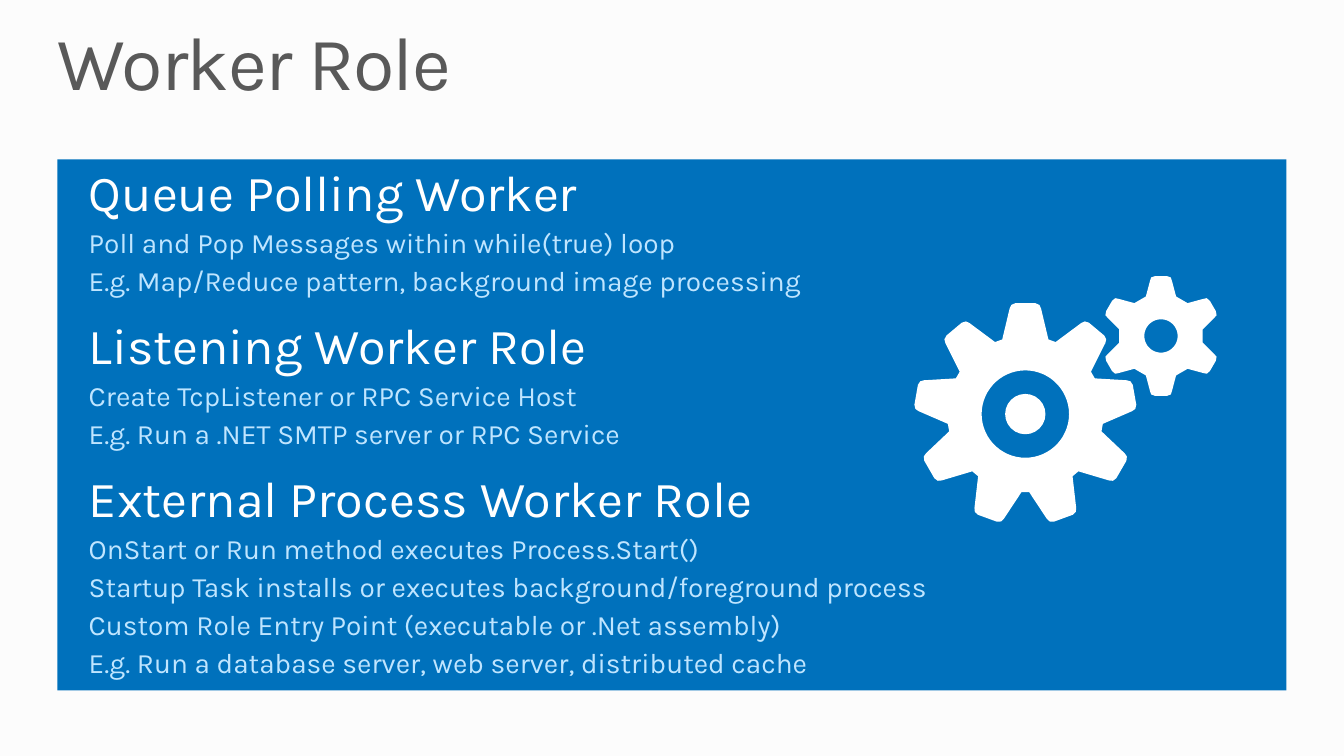
from math import cos, pi, sin

from pptx import Presentation
from pptx.dml.color import RGBColor
from pptx.enum import shapes, text
from pptx.util import Pt


def rgb(value):
    return RGBColor.from_string(value)


class Deck:
    """Holds the style and current slide, and draws each kind of element."""

    font, paper, panel = "Karla", "FCFCFC", "0071BC"
    grey, white, pale = "595959", "FFFFFF", "BFE5FF"

    def __init__(self):
        self.prs = Presentation()
        self.prs.slide_width, self.prs.slide_height = Pt(960), Pt(540)
        self.s = self.prs.slides.add_slide(self.prs.slide_layouts[6])
        self.s.background.fill.solid()
        self.s.background.fill.fore_color.rgb = rgb(self.paper)

    def paint(self, sp, color):
        sp.shadow.inherit = False
        sp.fill.solid()
        sp.fill.fore_color.rgb = rgb(color)
        sp.line.fill.background()

    def shape(self, parent, kind, x, y, w, h, color):
        sp = parent.shapes.add_shape(kind, Pt(x), Pt(y), Pt(w), Pt(h))
        self.paint(sp, color)

    def text(self, x, y, w, h, lines):
        tf = self.s.shapes.add_textbox(Pt(x), Pt(y), Pt(w), Pt(h)).text_frame
        tf.word_wrap = True
        tf.vertical_anchor = text.MSO_ANCHOR.TOP
        tf.margin_left = tf.margin_right = tf.margin_top = tf.margin_bottom = 0
        tf.text = "\n".join(line for line, *_ in lines)
        for p, (_, size, color, before) in zip(tf.paragraphs, lines):
            p.space_before = Pt(before)
            f = p.runs[0].font
            f.name, f.size, f.color.rgb = self.font, Pt(size), rgb(color)
        return tf

    def gear(self, parent, cx, cy, teeth, half_tooth, hole):
        tooth = [(-x, y) for x, y in half_tooth] + half_tooth[::-1]
        outline = []
        for i in range(teeth):
            a = 2 * pi * i / teeth
            outline += [(Pt(cx + x * cos(a) + y * sin(a)),
                         Pt(cy + x * sin(a) - y * cos(a))) for x, y in tooth]
        steps = 60
        rim = [(Pt(cx + hole * cos(2 * pi * i / steps)),
                Pt(cy - hole * sin(2 * pi * i / steps))) for i in range(steps)]
        fb = parent.shapes.build_freeform(*outline[0])
        fb.add_line_segments(outline[1:])
        fb.move_to(*rim[0])
        fb.add_line_segments(rim[1:])
        self.paint(fb.convert_to_shape(), self.white)


def main():
    d = Deck()
    kinds = shapes.MSO_SHAPE
    d.shape(d.s, kinds.RECTANGLE, 41, 113.8, 878, 379.4, d.panel)

    tf = d.text(41, 18, 878, 59, [("Worker Role", 54, d.grey, 0)])
    p = tf.paragraphs[0]
    p.line_spacing = 0.9
    p.runs[0].font._element.set("spc", "-100")

    sections = {
        "Queue Polling Worker": [
            "Poll and Pop Messages within while(true) loop",
            "E.g. Map/Reduce pattern, background image processing"],
        "Listening Worker Role": [
            "Create TcpListener or RPC Service Host",
            "E.g. Run a .NET SMTP server or RPC Service"],
        "External Process Worker Role": [
            "OnStart or Run method executes Process.Start()",
            "Startup Task installs or executes background/foreground process",
            "Custom Role Entry Point (executable or .Net assembly)",
            "E.g. Run a database server, web server, distributed cache"],
    }
    lines = []
    for heading, details in sections.items():
        lines.append((heading, 36, d.white, 12))
        lines += [(detail, 20, d.pale, 3) for detail in details]
    d.text(63.4, 115.2, 878, 388, lines)

    gears = d.s.shapes.add_group_shape()
    d.gear(gears, 732.4, 295.8, 9,
           [(16.5, 53.3), (11.2, 75.5), (10, 78), (7.2, 79.2)], 31.2)
    d.shape(gears, kinds.OVAL, 718, 281.4, 28.8, 28.8, d.white)
    d.gear(gears, 829.3, 240, 6,
           [(10.8, 28.2), (7.8, 39.5), (7, 41.8), (4.2, 42.8)], 11.9)

    d.prs.save("out.pptx")


if __name__ == "__main__":
    main()
